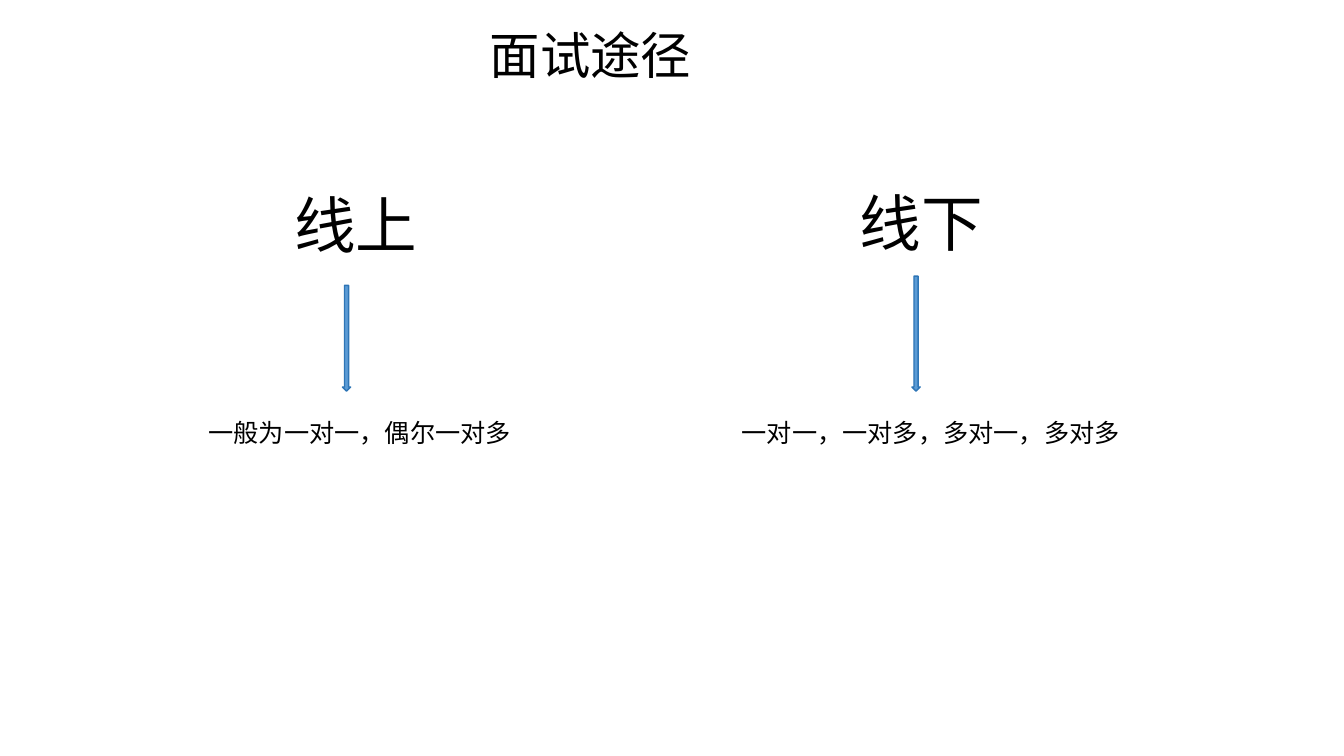
from pptx import Presentation
from pptx.dml.color import RGBColor
from pptx.enum.shapes import MSO_SHAPE
from pptx.enum.text import MSO_AUTO_SIZE
from pptx.util import Pt

COLORS = {"text": "000000", "arrow": "5B9BD5", "outline": "2E75B6"}
FONT = "Arial"
ARROW_WIDTH = 5.9
ARROW_BOTTOM = 279.4
DETAIL_TOP = 294.5

# Each route: heading (text, left, top), arrow (left, top), detail (text, left, width)
ROUTES = [
    (("线上", 203, 130.3), (244.6, 203.8), ("一般为一对一，偶尔一对多", 141.8, 253.4)),
    (("线下", 607, 128.9), (651.4, 197.3), ("一对一，一对多，多对一，多对多", 522.7, 319.7)),
]


def color(name):
    return RGBColor.from_string(COLORS[name])


def add_label(slide, text, left, top, width, height, size):
    label = slide.shapes.add_textbox(Pt(left), Pt(top), Pt(width), Pt(height))
    frame = label.text_frame
    frame.word_wrap = True
    frame.auto_size = MSO_AUTO_SIZE.SHAPE_TO_FIT_TEXT
    run = frame.paragraphs[0].add_run()
    run.text = text
    run.font.name = FONT
    run.font.size = Pt(size)
    run.font.color.rgb = color("text")


def add_down_arrow(slide, left, top):
    arrow = slide.shapes.add_shape(
        MSO_SHAPE.DOWN_ARROW, Pt(left), Pt(top), Pt(ARROW_WIDTH), Pt(ARROW_BOTTOM - top)
    )
    arrow.shadow.inherit = False
    arrow.fill.solid()
    arrow.fill.fore_color.rgb = color("arrow")
    arrow.line.color.rgb = color("outline")
    arrow.line.width = Pt(1)


def add_route(slide, heading, arrow, detail):
    """Add one interview route: heading, arrow and the detail below it."""
    add_label(slide, *heading, 203, 60.5, 44)
    add_down_arrow(slide, *arrow)
    text, left, width = detail
    add_label(slide, text, left, DETAIL_TOP, width, 29, 18)


def main():
    presentation = Presentation()
    presentation.slide_width = Pt(960)
    presentation.slide_height = Pt(540)
    slide = presentation.slides.add_slide(presentation.slide_layouts[6])
    add_label(slide, "面试途径", 342.7, 13.7, 256.3, 51, 36)
    for route in ROUTES:
        add_route(slide, *route)
    presentation.save("out.pptx")


if __name__ == "__main__":
    main()
